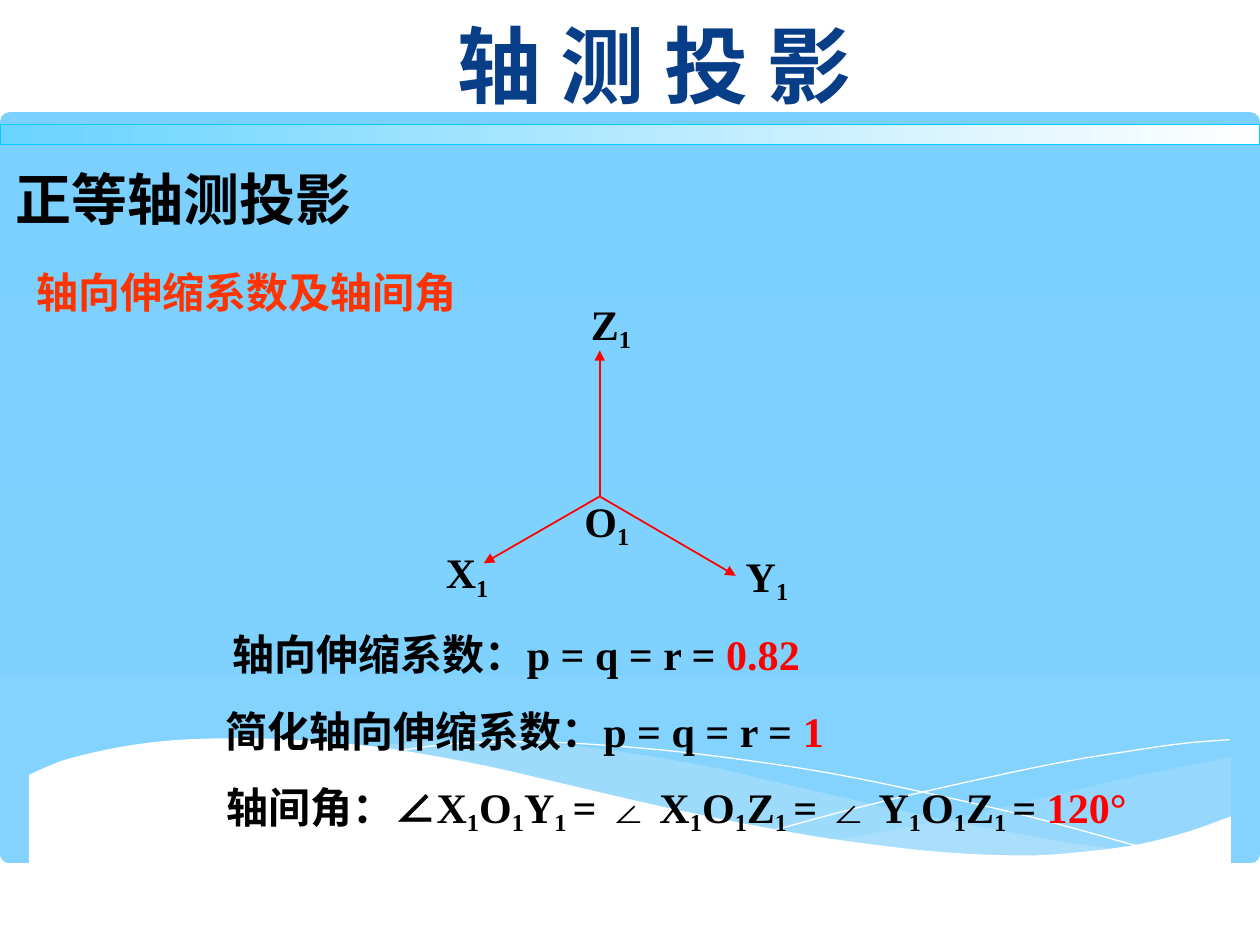
from lxml.etree import SubElement
from pptx import Presentation
from pptx.dml.color import RGBColor
from pptx.enum.shapes import MSO_CONNECTOR, MSO_SHAPE
from pptx.enum.text import MSO_ANCHOR, MSO_AUTO_SIZE, PP_ALIGN
from pptx.oxml.ns import qn
from pptx.util import Pt

PX = 9144  # 100 px to the inch
CJK, LATIN = "Noto Sans CJK SC", "Times New Roman"
BLACK, RED, WHITE = "000000", "FF0000", "FFFFFF"


def px(n):
    return round(n * PX)


def color(target, value):
    target.rgb = RGBColor.from_string(value)


def blend(shape, stops, angle):
    shape.fill.gradient()
    shape.fill.gradient_angle = angle
    for stop, value in zip(shape.fill.gradient_stops, stops):
        color(stop.color, value)


def panel(slide, kind, box, stops, angle):
    shape = slide.shapes.add_shape(kind, *map(px, box))
    shape.shadow.inherit = False
    blend(shape, stops, angle)
    shape.line.fill.background()
    return shape


def smooth(knots, steps=5):
    """Return points on a Catmull-Rom curve through the knots."""
    ends = [knots[0], *knots, knots[-1]]
    points = [knots[0]]
    for a, b, c, d in zip(ends, ends[1:], ends[2:], ends[3:]):
        for i in range(1, steps + 1):
            t = i / steps
            points.append(tuple(
                (2 * q + (r - p) * t + (2 * p - 5 * q + 4 * r - s) * t ** 2
                 + (3 * q - p - 3 * r + s) * t ** 3) / 2
                for p, q, r, s in zip(a, b, c, d)))
    return points


def curve(slide, points, close):
    spots = [(px(x), px(y)) for x, y in points]
    pen = slide.shapes.build_freeform(*spots[0])
    pen.add_line_segments(spots[1:], close=close)
    shape = pen.convert_to_shape()
    shape.shadow.inherit = False
    return shape


def band(slide, edges, value, alpha=100):
    """Fill the area between smooth edges that follow one another."""
    shape = curve(slide, [p for edge in edges for p in smooth(edge)], True)
    shape.fill.solid()
    color(shape.fill.fore_color, value)
    shape.line.fill.background()
    if alpha < 100:
        tint = shape.fill._xPr.find(".//" + qn("a:srgbClr"))
        SubElement(tint, qn("a:alpha"), val=str(alpha * 1000))


def thread(slide, knots):
    shape = curve(slide, smooth(knots), False)
    shape.fill.background()
    color(shape.line.color, WHITE)
    shape.line.width = Pt(0)


def waves(slide):
    band(slide, [
        [(977, 601), (936, 609), (892, 618), (833, 632), (754, 650), (662, 667)],
        [(662, 667), (706, 673), (758, 678), (804, 680), (855, 678), (898, 672),
         (937, 663), (977, 649)]], "C6E7FC", 29)
    band(slide, [
        [(894, 675), (838, 667), (742, 649), (630, 624), (570, 610), (515, 600),
         (465, 593), (400, 588), (344, 588), (287, 593)],
        [(287, 593), (343, 601), (405, 613), (491, 634), (567, 650), (651, 666),
         (723, 676), (786, 680), (839, 680), (894, 675)]], "C6E7FC", 40)
    thread(slide, [(310, 597), (363, 590), (433, 589), (511, 594), (582, 602),
                   (666, 615), (761, 635), (832, 652), (908, 673)])
    thread(slide, [(614, 659), (673, 643), (748, 625), (837, 606), (897, 596),
                   (939, 590), (976, 587)])
    band(slide, [
        [(977, 648), (940, 661), (899, 671), (850, 677), (809, 679), (744, 676),
         (668, 667), (603, 656), (529, 641), (447, 622), (391, 609), (339, 599),
         (292, 592), (230, 587), (177, 586), (132, 588), (95, 593), (67, 599),
         (46, 605), (23, 615)],
        [(23, 731), (977, 731)]], WHITE)


def label(slide, box, parts, size=24, wrap=False):
    """Write (text, font, colour) parts; text between bars is lowered."""
    shape = slide.shapes.add_textbox(*map(px, box))
    frame = shape.text_frame
    frame.word_wrap = wrap
    para = frame.paragraphs[0]
    if wrap:
        frame.vertical_anchor = MSO_ANCHOR.BOTTOM
        para.alignment = PP_ALIGN.CENTER
    else:
        frame.auto_size = MSO_AUTO_SIZE.SHAPE_TO_FIT_TEXT
    for text, face, value in parts:
        for i, piece in enumerate(text.split("|")):
            if not piece:
                continue
            run = para.add_run()
            run.text = piece
            font = run.font
            font.size, font.bold, font.name = Pt(size), True, face
            color(font.color, value)
            props = font._element
            SubElement(props, qn("a:ea"), typeface=CJK)
            if i % 2:
                props.set("baseline", "-20000")


def arrow(slide, start, end):
    line = slide.shapes.add_connector(
        MSO_CONNECTOR.STRAIGHT, *map(px, (*start, *end)))
    color(line.line.color, RED)
    line.line.width = Pt(1)
    SubElement(line.line._get_or_add_ln(), qn("a:tailEnd"), type="triangle")
    SubElement(line._element.spPr, qn("a:effectLst"))


def axes(slide, x, y):
    """Draw the three axes around the origin at x, y."""
    for dx, dy in [(0, -116), (-92, 53), (108, 63)]:
        arrow(slide, (x, y), (x + dx, y + dy))
    for name, dx, dy, width in [("Z", -17, -162, 62), ("X", -132, 35, 55),
                                ("Y", 106, 38, 55), ("O", -22, -6, 57)]:
        label(slide, (x + dx, y + dy, width, 50),
              [(name + "|1|", LATIN, BLACK)])


def header(slide):
    label(slide, (303, 21, 433, 75), [("轴 测 投 影", "Cabin", "073E87")], 48, True)
    bar = panel(slide, MSO_SHAPE.RECTANGLE, (0, 99, 1000, 16),
                ("69D4FF", WHITE), 0)
    color(bar.line.color, "00CCFF")
    bar.line.width = Pt(0.75)


def facts(slide):
    for x, y, width, name, value in [(175, 494, 480, "轴向", "0.82"),
                                     (169, 555, 505, "简化轴向", "1")]:
        label(slide, (x, y, width, 50), [
            (name, CJK, BLACK), ("伸缩", LATIN, BLACK), ("系数：", CJK, BLACK),
            ("p = q = r = ", LATIN, BLACK), (value, LATIN, RED)])
    label(slide, (170, 615, 748, 50), [
        ("轴间角：", CJK, BLACK),
        ("∠X|1|O|1|Y|1 |= ∠ X|1|O|1|Z|1 |= ∠ Y|1|O|1|Z|1 |= ", LATIN, BLACK),
        ("120°", LATIN, RED)])


def main():
    deck = Presentation()
    deck.slide_width, deck.slide_height = px(1000), px(750)
    slide = deck.slides.add_slide(deck.slide_layouts[6])
    back = panel(slide, MSO_SHAPE.ROUNDED_RECTANGLE, (0, 89, 1000, 596),
                 ("7BD0FE", "83D3FE"), 270)
    back.adjustments[0] = 0.013
    waves(slide)
    label(slide, (0, 139, 291, 50), [("正等轴测投影", CJK, BLACK)], 32, True)
    label(slide, (19, 207, 355, 50), [("轴向伸缩系数及轴间角", CJK, "FF3300")])
    axes(slide, 476, 394)
    facts(slide)
    header(slide)
    deck.save("out.pptx")


if __name__ == "__main__":
    main()
